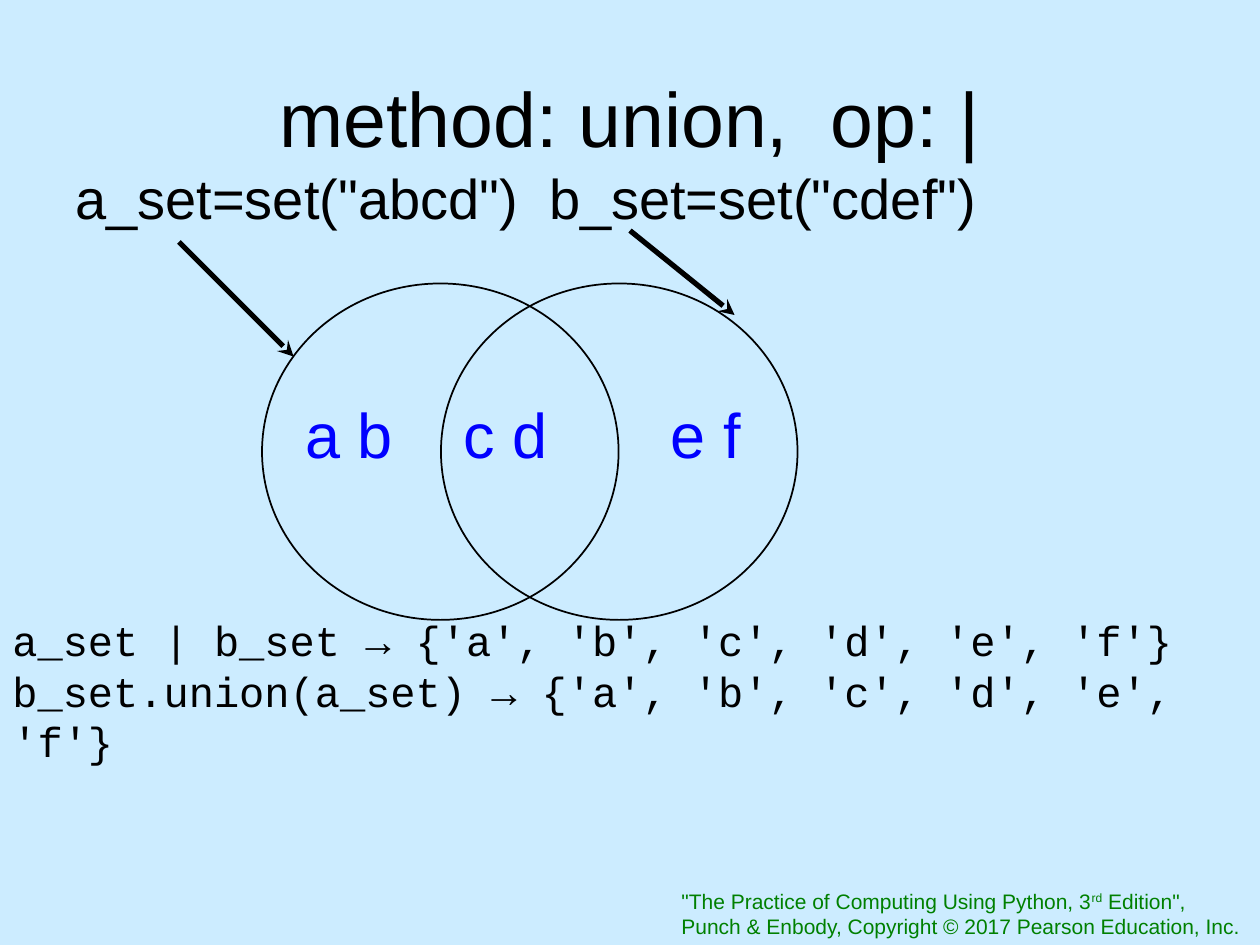
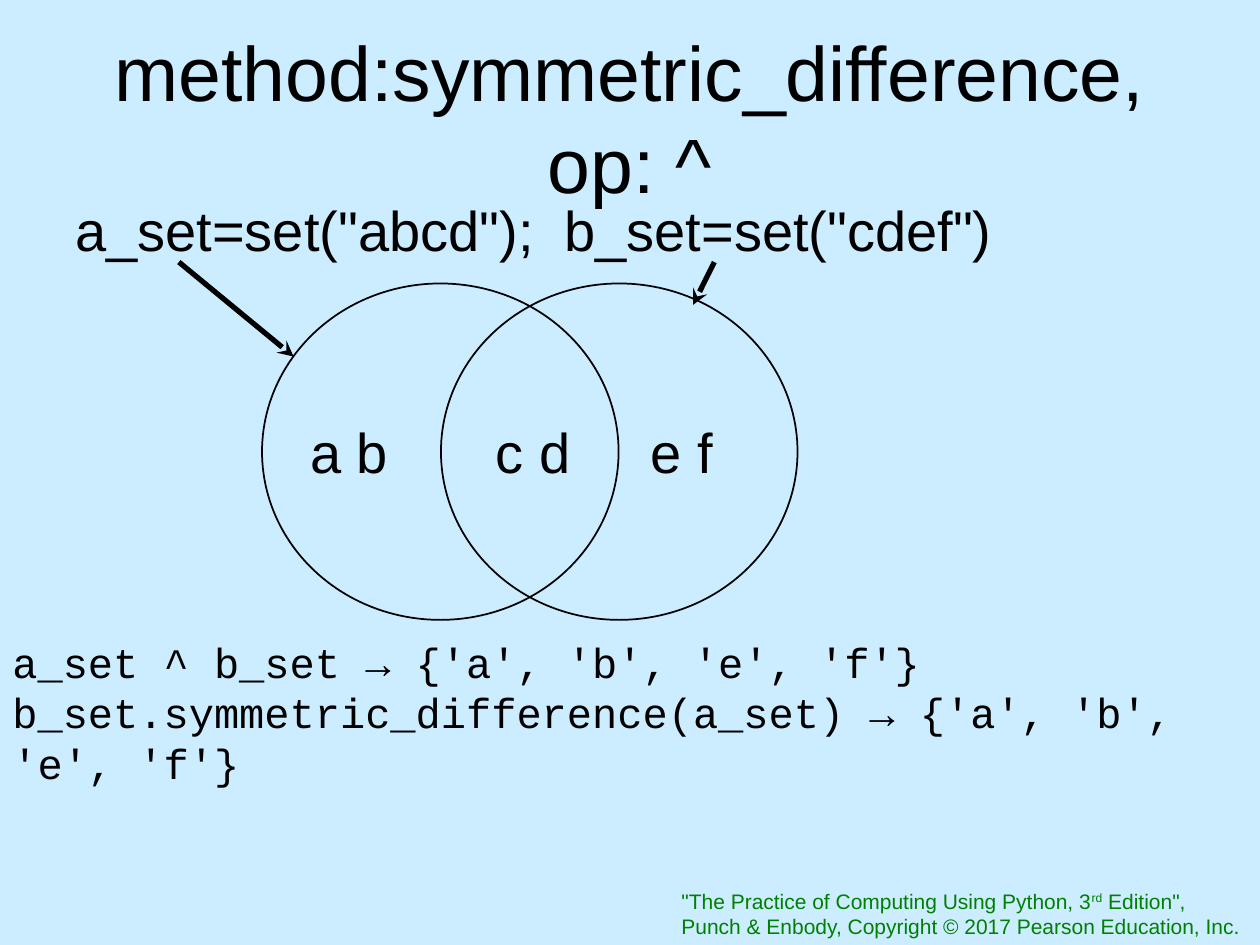
import pptx
import pptx.util
import pptx.dml.color
import pptx.enum.shapes
import pptx.enum.text
import pptx.oxml.ns
import lxml.etree

Inches = pptx.util.Inches
Pt = pptx.util.Pt
RGBColor = pptx.dml.color.RGBColor
ANCHOR = pptx.enum.text.MSO_ANCHOR
ALIGN = pptx.enum.text.PP_ALIGN
qn = pptx.oxml.ns.qn

SKY = RGBColor(0xCC, 0xEC, 0xFF)
BLACK = RGBColor(0, 0, 0)
BLUE = RGBColor(0, 0, 0xFF)
GREEN = RGBColor(0, 0x80, 0)

FOOTER = ['"The Practice of Computing Using Python, 3', "rd", ' Edition",']
COPYRIGHT = "Punch & Enbody, Copyright © 2017 Pearson Education, Inc."

CIRCLE_LEFTS = (3.5, 2.08)
CIRCLE_TOP, CIRCLE_WIDTH, CIRCLE_HEIGHT = 2.25, 2.83, 2.67
LABEL_WIDTH, LABEL_HEIGHT = 1, 0.7

SLIDES = [
    {
        "title": "method: union,  op: |",
        "sets": 'a_set=set("abcd")  b_set=set("cdef")',
        "sets_top": 1.25,
        "code": ["a_set | b_set → {'a', 'b', 'c', 'd', 'e', 'f'}",
                 "b_set.union(a_set) → {'a', 'b', 'c', 'd', 'e', 'f'}"],
        "code_top": 4.83,
        "members": [("a b", 2.77), ("c d", 4.01), ("e f", 5.6)],
        "members_middle": 3.44,
        "members_font": (36, BLUE),
        "arrows": [((1.42, 1.92), (2.33, 2.83)), ((5, 1.83), (5.83, 2.5))],
    },
    {
        "title": "method:symmetric_difference, op: ^",
        "sets": 'a_set=set("abcd");  b_set=set("cdef")',
        "sets_top": 1.5,
        "code": ["a_set ^ b_set → {'a', 'b', 'e', 'f'}",
                 "b_set.symmetric_difference(a_set) → {'a', 'b', 'e', 'f'}"],
        "code_top": 5,
        "members": [("a b", 2.77), ("c d", 4.23), ("e f", 5.41)],
        "members_middle": 3.58,
        "members_font": (32, BLACK),
        "arrows": [((1.42, 2.08), (2.33, 2.83)), ((5.67, 2.08), (5.5, 2.42))],
    },
]


def add_text(s, box, lines, size, color=BLACK, font="Arial",
             align=ALIGN.LEFT, anchor=ANCHOR.TOP, wrap=True):
    tf = s.shapes.add_textbox(*map(Inches, box)).text_frame
    tf.word_wrap = wrap
    tf.vertical_anchor = anchor
    for i, runs in enumerate(lines):
        p = tf.paragraphs[0] if i == 0 else tf.add_paragraph()
        for text in runs:
            p.add_run().text = text
        p.alignment = align
        p.font.name, p.font.size = font, Pt(size)
        p.font.color.rgb = color
    return tf


def add_footer(s):
    tf = add_text(s, (5.31, 7, 4.68, 0.5), [FOOTER, [COPYRIGHT]], 12, GREEN, wrap=False)
    tf.paragraphs[0].runs[1].font._element.set("baseline", "30000")


def add_circle(s, left):
    sp = s.shapes.add_shape(
        pptx.enum.shapes.MSO_SHAPE.OVAL, Inches(left), Inches(CIRCLE_TOP),
        Inches(CIRCLE_WIDTH), Inches(CIRCLE_HEIGHT))
    sp.shadow.inherit = False
    sp.fill.background()
    sp.line.color.rgb = BLACK
    sp.line.width = Pt(1)


def add_arrow(s, start, end):
    line = s.shapes.add_connector(
        pptx.enum.shapes.MSO_CONNECTOR.STRAIGHT, *map(Inches, start + end))
    line.line.color.rgb = BLACK
    line.line.width = Pt(3)
    ln = line.line._get_or_add_ln()
    lxml.etree.SubElement(ln, qn("a:tailEnd"), type="stealth")
    lxml.etree.SubElement(line._element.spPr, qn("a:effectLst"))


def add_set_slide(prs, content):
    s = prs.slides.add_slide(prs.slide_layouts[6])
    add_footer(s)
    add_text(s, (0.5, 0.3, 9, 1.25), [[content["title"]]], 44,
             align=ALIGN.CENTER, anchor=ANCHOR.MIDDLE)
    add_text(s, (0.5, content["sets_top"], 9.5, 0.65), [[content["sets"]]], 32)
    add_text(s, (0, content["code_top"], 10, 2.09),
             [[line] for line in content["code"]], 24, font="Courier New")
    for left in CIRCLE_LEFTS:
        add_circle(s, left)
    top = content["members_middle"] - LABEL_HEIGHT / 2
    for text, center in content["members"]:
        add_text(s, (center - LABEL_WIDTH / 2, top, LABEL_WIDTH, LABEL_HEIGHT), [[text]],
                 *content["members_font"], align=ALIGN.CENTER, anchor=ANCHOR.MIDDLE)
    for start, end in content["arrows"]:
        add_arrow(s, start, end)


def main():
    prs = pptx.Presentation()
    prs.slide_width, prs.slide_height = Inches(10), Inches(7.5)
    fill = prs.slide_master.background.fill
    fill.solid()
    fill.fore_color.rgb = SKY
    for content in SLIDES:
        add_set_slide(prs, content)
    prs.save("out.pptx")


if __name__ == "__main__":
    main()
